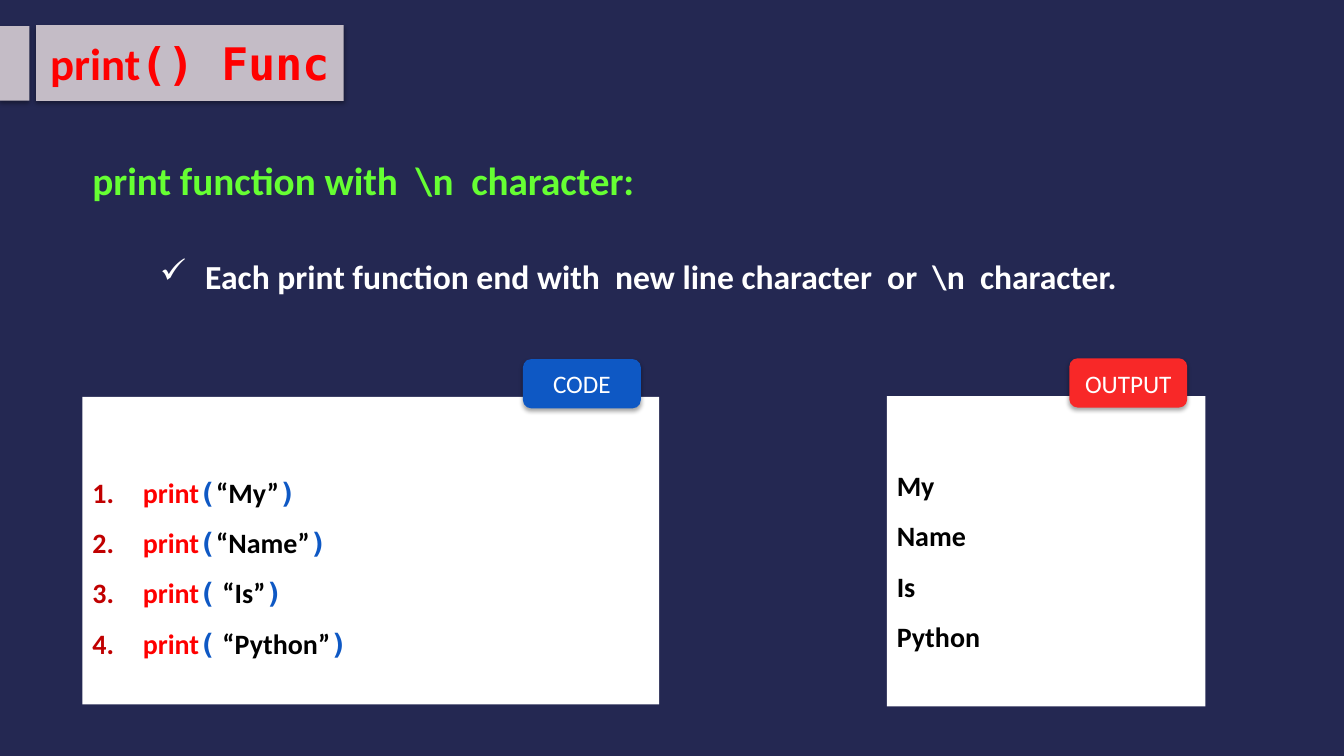
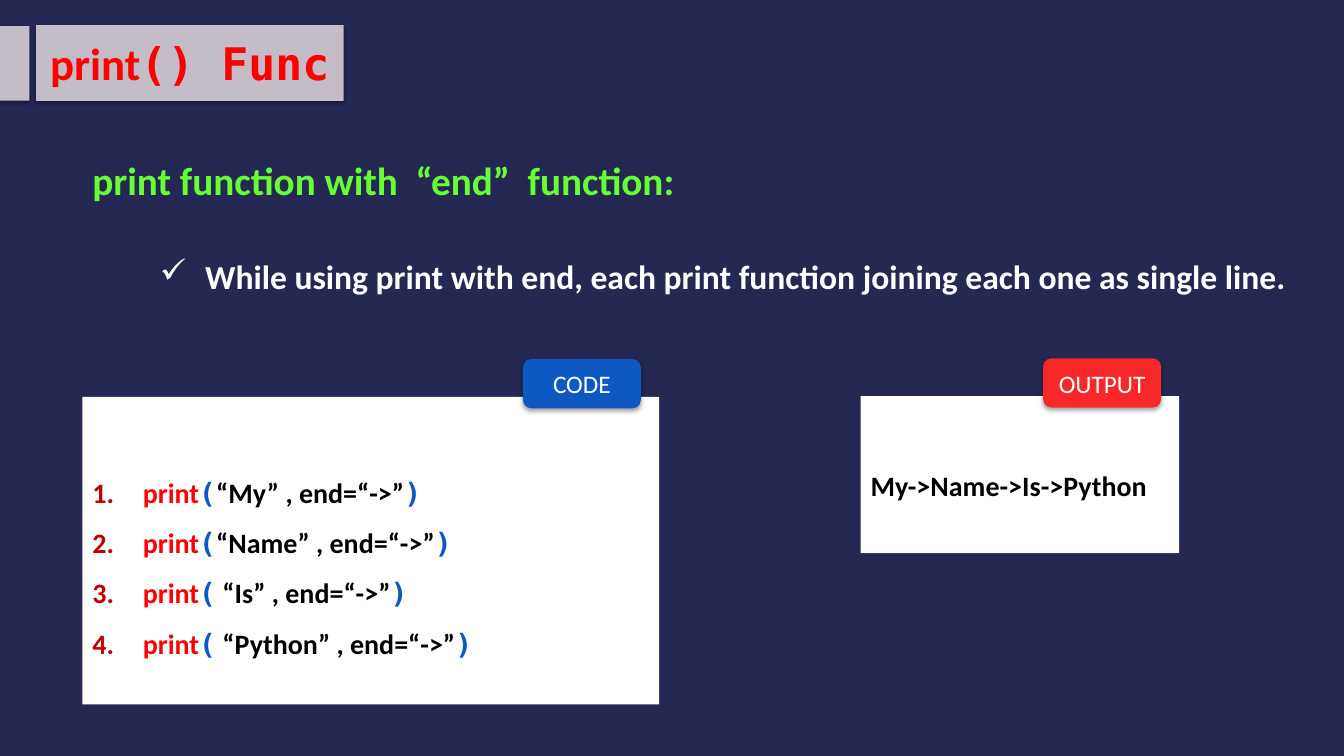
from lxml.etree import SubElement as Sub
from pptx import Presentation
from pptx.dml.color import RGBColor as Rgb
from pptx.enum.shapes import MSO_SHAPE as Kind
from pptx.enum.text import MSO_ANCHOR as Anchor, MSO_AUTO_SIZE as Fit, PP_ALIGN as Align
from pptx.oxml.ns import qn
from pptx.util import Cm, Pt

SANS, MONO = "Calibri", "DejaVu Sans Mono"
NAVY, MAUVE, WHITE, BLACK = "242852", "C4BCC6", "FFFFFF", "000000"
RED, GREEN, BLUE, CORAL, WINE = "FF0000", "66FF33", "0E58C4", "F82828", "C00000"
INSET, LEAD = 0.25, 1.4


def hue(code):
    return Rgb.from_string(code)


def say(par, text, size=20, color=BLACK, bold=True, face=SANS):
    run = par.add_run()
    run.text = text
    font = run.font
    font.size, font.bold, font.name = Pt(size), bold, face
    font.color.rgb = hue(color)


def paint(shape, color, shade=False):
    shape.fill.solid()
    shape.fill.fore_color.rgb = hue(color)
    shape.line.fill.background()
    shape.shadow.inherit = False
    if shade:
        glow = shape.element.spPr.find(qn("a:effectLst"))
        drop = Sub(glow, qn("a:outerShdw"), blurRad="40000", dist="23000",
                   dir="5400000", rotWithShape="0")
        tint = Sub(drop, qn("a:srgbClr"), val=BLACK)
        Sub(tint, qn("a:alpha"), val="35000")


def block(shapes, box, color, kind=Kind.RECTANGLE, shade=False):
    shape = shapes.add_shape(kind, *map(Cm, box))
    paint(shape, color, shade)
    return shape


def frame(shape, top=0.13, wrap=True, anchor=Anchor.TOP):
    body = shape.text_frame
    body.auto_size, body.word_wrap = Fit.NONE, wrap
    body.vertical_anchor = anchor
    body.margin_left = body.margin_right = Cm(INSET)
    body.margin_top, body.margin_bottom = Cm(top), Cm(0.13)
    return body


def label(shapes, box, **form):
    return frame(shapes.add_textbox(*map(Cm, box)), **form)


def bullet(par, indent, kind, color, **mark):
    props = par._p.get_or_add_pPr()
    props.set("marL", str(Cm(indent)))
    props.set("indent", str(-Cm(indent)))
    Sub(Sub(props, qn("a:buClr")), qn("a:srgbClr"), val=color)
    Sub(props, qn(kind), **mark)


def lines(body, count):
    for spot in range(count):
        par = body.add_paragraph() if spot else body.paragraphs[0]
        par.alignment, par.line_spacing = Align.LEFT, 1.5
        yield par


def banner(slide, box):
    left, top, width, height = box
    block(slide.shapes, (0, top + 0.03, 0.74, height - 0.03), MAUVE, shade=True)
    title = slide.shapes.title
    title.left, title.top, title.width, title.height = map(Cm, box)
    paint(title, MAUVE, True)
    par = frame(title, wrap=False, anchor=Anchor.MIDDLE).paragraphs[0]
    par.alignment = Align.CENTER
    say(par, "print", size=32, color=RED)
    say(par, "() Func", size=32, color=RED, face=MONO)


def intro(slide, box, head, note, span):
    left, top, width, height = box
    say(label(slide.shapes, box).paragraphs[0], head, size=28, color=GREEN)
    spot = (left + 1.7, top + 2.51, span, 1.27)
    par = label(slide.shapes, spot, wrap=False).paragraphs[0]
    bullet(par, 0.95, "a:buChar", WHITE, char="✓")
    say(par, note, size=24, color=WHITE)


def card(slide, box, name, color):
    left, top, width, height = box
    shapes = slide.shapes.add_group_shape().shapes
    panel = block(shapes, box, WHITE)
    spot = (left + width - 3.43, top - 0.95, 2.97, 1.24)
    tag = block(shapes, spot, color, Kind.ROUNDED_RECTANGLE, True)
    par = frame(tag, anchor=Anchor.MIDDLE).paragraphs[0]
    par.alignment = Align.CENTER
    say(par, name, size=18, color=WHITE, bold=False)
    return shapes, panel


def code(slide, box, calls):
    left, top, width, height = box
    shapes, panel = card(slide, box, "CODE", BLUE)
    body = label(shapes, (left, top + 0.15, width - 1.6, height), top=LEAD)
    for par, call in zip(lines(body, len(calls)), calls):
        bullet(par, 1.27, "a:buAutoNum", WINE, type="arabicPeriod")
        say(par, "print", color=RED)
        say(par, "(", color=BLUE, face=MONO)
        say(par, call)
        say(par, ")", color=BLUE, face=MONO)


def output(slide, box, rows):
    shapes, panel = card(slide, box, "OUTPUT", CORAL)
    body = frame(panel, top=LEAD)
    for par, row in zip(lines(body, len(rows)), rows):
        say(par, row)


def lesson(deck, head, note, span, tail, spot, rows):
    slide = deck.slides.add_slide(deck.slide_layouts[5])
    banner(slide, (0.91, 0.63, 7.75, 1.91))
    intro(slide, (2.08, 3.81, 22.23, 2.11), head, note, span)
    words = "“My”", "“Name”", " “Is”", " “Python”"
    code(slide, (2.08, 10, 14.53, 7.75), [word + tail for word in words])
    output(slide, spot, rows)


deck = Presentation()
deck.slide_width, deck.slide_height = Cm(33.87), Cm(19.05)
back = deck.slide_master.background.fill
back.solid()
back.fore_color.rgb = hue(NAVY)

lesson(deck, "print function with  \\n  character: ",
       " Each print function end with  new line character  or  \\n  character. ",
       25.04, "", (22.35, 9.98, 8.03, 7.82), ["My", "Name", "Is", "Python"])
lesson(deck, "print function with  “end”  function:",
       " While using print with end, each print function joining each one as single line. ",
       29.36, " , end=“->”", (21.69, 9.98, 8.03, 3.96), ["My->Name->Is->Python"])

deck.save("out.pptx")
